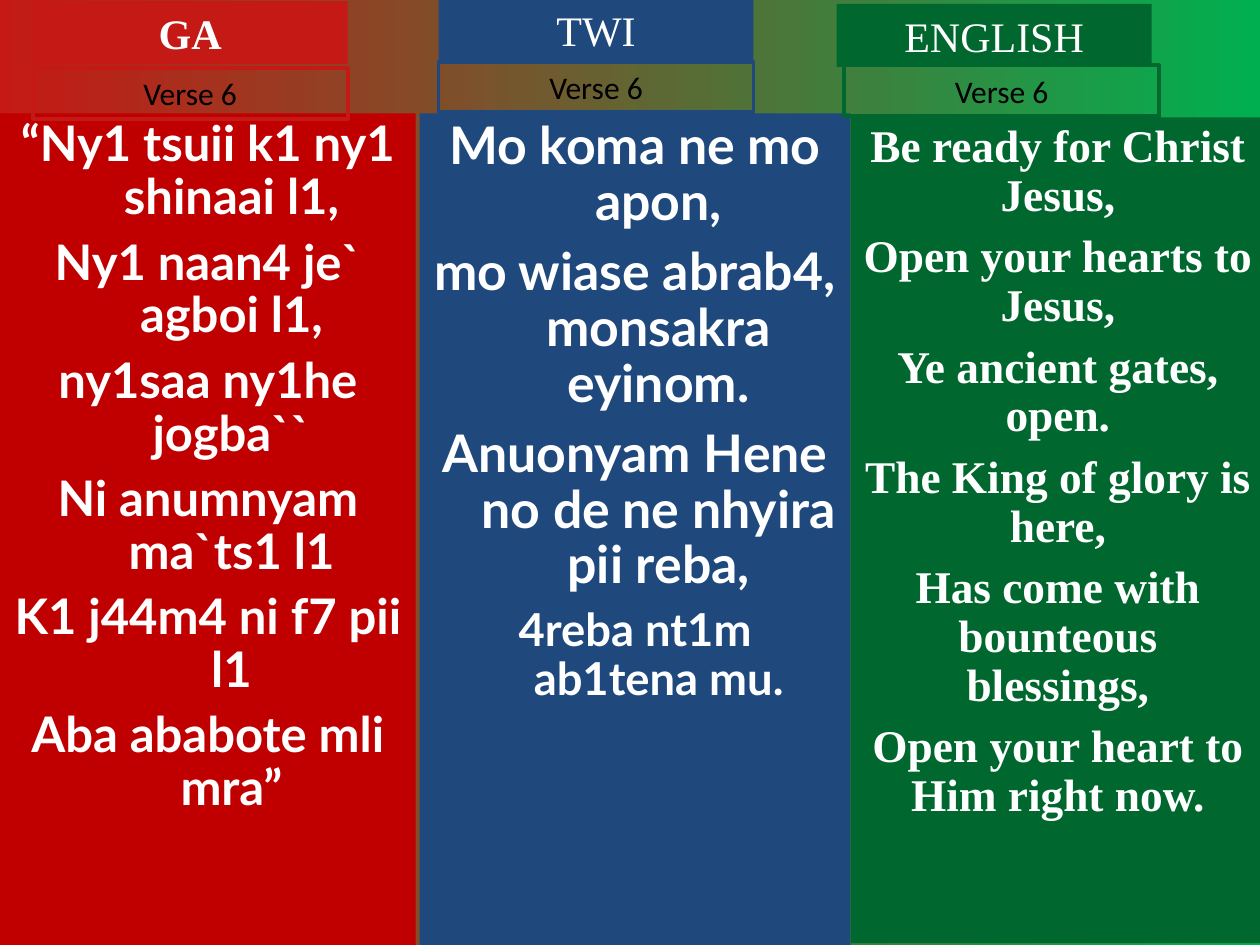
"""Build a hymn verse slide in three language columns."""
import pptx
import pptx.dml.color
import pptx.enum.shapes
import pptx.enum.text
import pptx.util

Pt = pptx.util.Pt
RGBColor = pptx.dml.color.RGBColor

RED = RGBColor(0xC5, 0x19, 0x15)
DARK_RED = RGBColor(0xC0, 0x00, 0x00)
BLUE = RGBColor(0x1F, 0x49, 0x7D)
GREEN = RGBColor(0x00, 0x68, 0x2F)
BRIGHT_GREEN = RGBColor(0x00, 0xB0, 0x50)
WHITE = RGBColor(0xFF, 0xFF, 0xFF)
BLACK = RGBColor(0x00, 0x00, 0x00)

SERIF = "Times New Roman"
SANS = "Lato"
LABEL_WIDTH = 180


class Slide:
    """Hold the style and the current slide."""

    def __init__(self, deck):
        self.page = deck.slides.add_slide(deck.slide_layouts[6])

    def background(self, left_color, right_color):
        fill = self.page.background.fill
        fill.gradient()
        fill.gradient_angle = 0
        for stop, color in zip(fill.gradient_stops, (left_color, right_color)):
            stop.color.rgb = color

    def box(self, left, top, width, height, fill=None, line=None):
        box = self.page.shapes.add_shape(
            pptx.enum.shapes.MSO_SHAPE.RECTANGLE,
            Pt(left), Pt(top), Pt(width), Pt(height))
        box.shadow.inherit = False
        if fill is None:
            box.fill.background()
        else:
            box.fill.solid()
            box.fill.fore_color.rgb = fill
        if line is None:
            box.line.fill.background()
        else:
            box.line.color.rgb = line
            box.line.width = Pt(2.25)
        frame = box.text_frame
        frame.word_wrap = True
        frame.vertical_anchor = pptx.enum.text.MSO_ANCHOR.TOP
        return frame

    def add_span(self, para, text, size, font, color, bold=False):
        para.alignment = pptx.enum.text.PP_ALIGN.CENTER
        span = para.add_run()
        span.text = text
        span.font.size = Pt(size)
        span.font.name = font
        span.font.bold = bold
        span.font.color.rgb = color

    def heading(self, left, top, text, color, bold=False):
        frame = self.box(left, top, LABEL_WIDTH, 36, fill=color)
        self.add_span(frame.paragraphs[0], text, 24, SERIF, WHITE, bold)

    def verse_label(self, left, top, text, color):
        frame = self.box(left, top, LABEL_WIDTH, 29, line=color)
        self.add_span(frame.paragraphs[0], text, 18, "Calibri", BLACK)

    def lyrics(self, place, color, font, lines, hanging=0):
        frame = self.box(*place, fill=color)
        for index, (text, size) in enumerate(lines):
            para = frame.add_paragraph() if index else frame.paragraphs[0]
            para.line_spacing = 0.9
            para.space_before = Pt(round(size / 4 + 0.4) if index else 0)
            if hanging:
                properties = para._p.get_or_add_pPr()
                properties.set("marL", str(Pt(hanging)))
                properties.set("indent", str(-Pt(hanging)))
            self.add_span(para, text, size, font, WHITE, True)


def sized(size, *texts):
    """Pair each line with one text size."""
    return [(text, size) for text in texts]


def main():
    """Build and save the deck."""
    deck = pptx.Presentation()
    deck.slide_width, deck.slide_height = Pt(720), Pt(540)
    slide = Slide(deck)
    slide.background(RED, BRIGHT_GREEN)

    ga_lines = sized(
        28, "“Ny1 tsuii k1 ny1 shinaai l1,", "Ny1 naan4 je` agboi l1,",
        "ny1saa ny1he jogba``", "Ni anumnyam ma`ts1 l1",
        "K1 j44m4 ni f7 pii l1", "Aba ababote mli mra”")
    twi_lines = sized(
        29.6, "Mo koma ne mo apon,", "mo wiase abrab4, monsakra eyinom.",
        "Anuonyam Hene no de ne nhyira pii reba,",
    ) + sized(25.9, "4reba nt1m ab1tena mu.")
    english_lines = sized(
        25.9, "Be ready for Christ Jesus,", "Open your hearts to Jesus,",
        "Ye ancient gates, open.", "The King of glory is here,",
        "Has come with bounteous blessings,",
        "Open your heart to Him right now.")

    slide.lyrics((0, 64.8, 237.6, 475.2), DARK_RED, SANS, ga_lines, 27)
    slide.lyrics((239.8, 64.8, 246.2, 475.2), BLUE, SANS, twi_lines, 27)
    slide.lyrics((486, 67, 237, 472), GREEN, SERIF, english_lines)

    slide.heading(18.7, 0.7, "GA", RED, bold=True)
    slide.heading(250.6, -0.7, "TWI", BLUE)
    slide.heading(478.1, 2.2, "ENGLISH", GREEN)

    for left, top, color in ((18.7, 38.9, RED), (250.6, 35.3, BLUE),
                             (482.4, 37.4, GREEN)):
        slide.verse_label(left, top, "Verse 6", color)

    deck.save("out.pptx")


if __name__ == "__main__":
    main()
